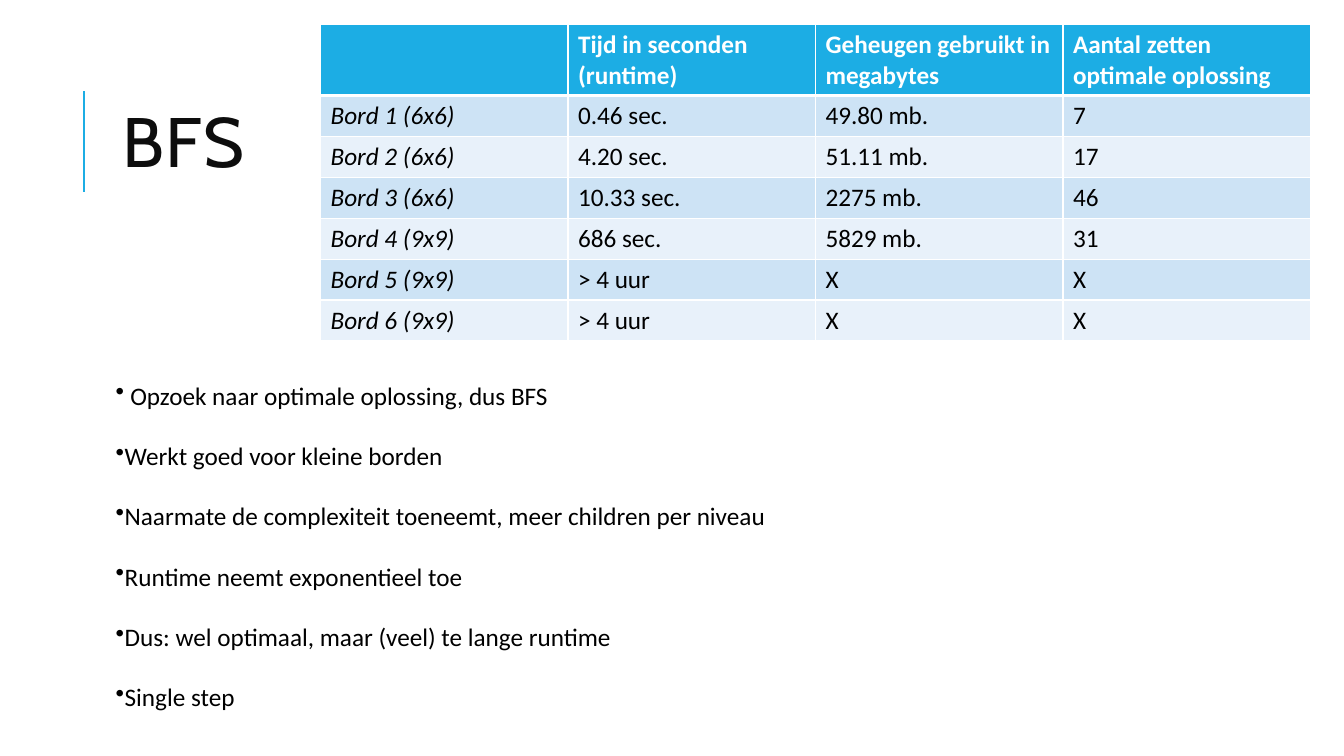
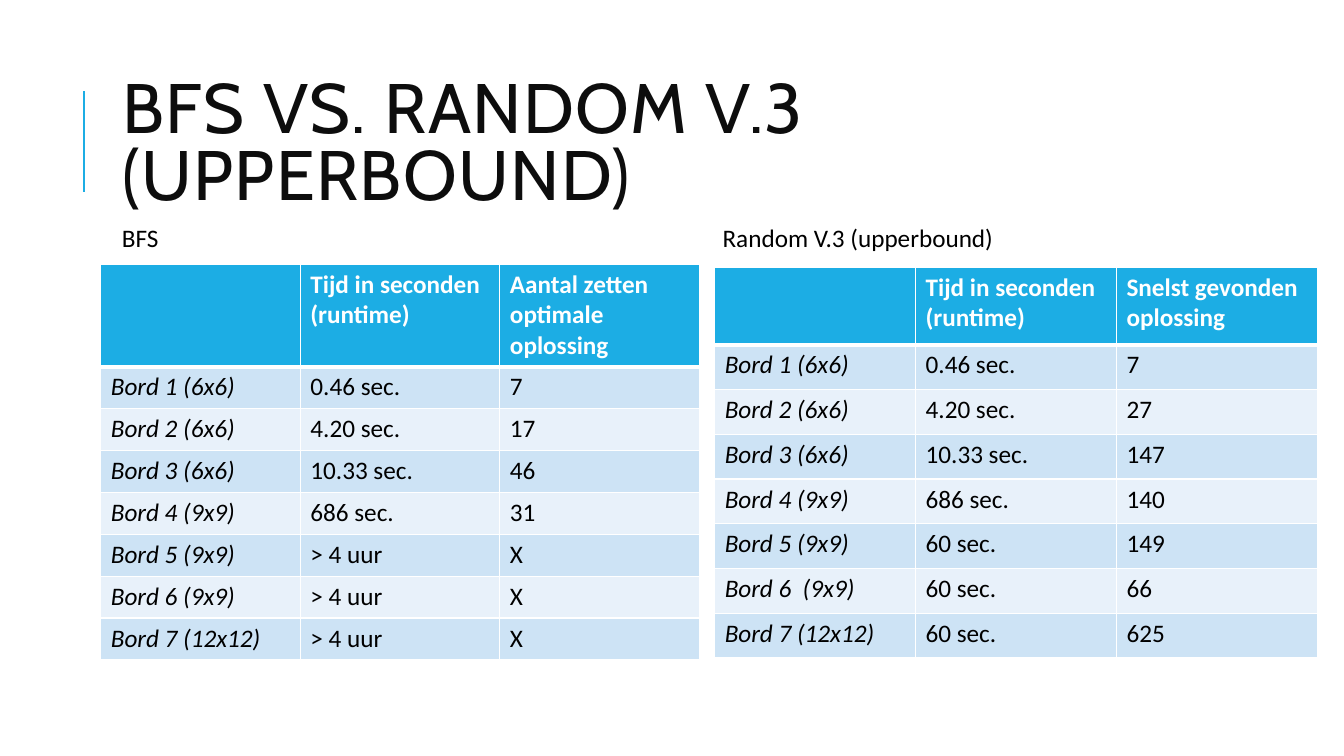
import dataclasses

import lxml.etree
import pptx
import pptx.dml.color
import pptx.enum.shapes
import pptx.enum.text
import pptx.oxml.ns
import pptx.util

SLIDE_WIDTH = pptx.util.Inches(13.33)
SLIDE_HEIGHT = pptx.util.Inches(7.5)
GRID_COLUMNS, GRID_ROWS = 160, 90


@dataclasses.dataclass(frozen=True)
class Theme:
    accent: str = "1CADE4"
    title_ink: str = "0D0D0D"
    ink: str = "000000"
    paper: str = "FFFFFF"
    bands: tuple = ("CDE3F5", "E8F1FA")
    title_font: str = "Cabin"
    body_font: str = "Calibri"
    title_size: float = 50
    body_size: float = 18
    bullet_gap: float = 21.5
    accent_width: float = 1.5
    rule: float = 1
    header_rule: float = 3


@dataclasses.dataclass(frozen=True)
class Box:
    """A region in grid columns and rows."""
    left: float
    top: float
    width: float
    height: float

    def place(self):
        return (across(self.left), down(self.top),
                across(self.width), down(self.height))


THEME = Theme()
TITLE_BOX = Box(13.44, 7.68, 127.56, 19.68)

TIME_HEADING = "Tijd in seconden (runtime)"
MOVES_HEADING = "Aantal zetten optimale oplossing"
BFS_RESULTS = [
    ("Bord 1 (6x6)", "0.46 sec.", "49.80 mb.", "7"),
    ("Bord 2 (6x6)", "4.20 sec.", "51.11 mb.", "17"),
    ("Bord 3 (6x6)", "10.33 sec.", "2275 mb.", "46"),
    ("Bord 4 (9x9)", "686 sec.", "5829 mb.", "31"),
    ("Bord 5 (9x9)", "> 4 uur", "X", "X"),
    ("Bord 6 (9x9)", "> 4 uur", "X", "X"),
]
BFS_MOVES = [(board, time, moves) for board, time, _, moves in BFS_RESULTS]
BFS_MOVES.append(("Bord 7 (12x12)", "> 4 uur", "X"))
RANDOM_MOVES = [
    ("Bord 1 (6x6)", "0.46 sec.", "7"),
    ("Bord 2 (6x6)", "4.20 sec.", "27"),
    ("Bord 3 (6x6)", "10.33 sec.", "147"),
    ("Bord 4 (9x9)", "686 sec.", "140"),
    ("Bord 5 (9x9)", "60 sec.", "149"),
    ("Bord 6  (9x9)", "60 sec.", "66"),
    ("Bord 7 (12x12)", "60 sec.", "625"),
]
BFS_FINDINGS = [
    " Opzoek naar optimale oplossing, dus BFS",
    "Werkt goed voor kleine borden",
    "Naarmate de complexiteit toeneemt, meer children per niveau",
    "Runtime neemt exponentieel toe",
    "Dus: wel optimaal, maar (veel) te lange runtime",
    "Single step",
]


def across(columns):
    return round(SLIDE_WIDTH * columns / GRID_COLUMNS)


def down(rows):
    return round(SLIDE_HEIGHT * rows / GRID_ROWS)


def color(code):
    return pptx.dml.color.RGBColor.from_string(code)


def add_element(parent, tag, **attributes):
    return lxml.etree.SubElement(parent, pptx.oxml.ns.qn(tag), attributes)


def style_font(font, name, size, ink, bold=False, italic=False):
    font.name = name
    font.size = pptx.util.Pt(size)
    font.color.rgb = color(ink)
    font.bold = bold
    font.italic = italic


def add_text(page, box, lines):
    """Add a wrapping text box with one body paragraph per line."""
    frame = page.shapes.add_textbox(*box.place()).text_frame
    frame.word_wrap = True
    frame.text = "\n".join(lines)
    for para in frame.paragraphs:
        style_font(para.font, THEME.body_font, THEME.body_size, THEME.ink)
    return frame


def add_bullets(page, box, lines):
    frame = add_text(page, box, lines)
    for para in frame.paragraphs:
        para.space_after = pptx.util.Pt(THEME.bullet_gap)
        properties = para._p.get_or_add_pPr()
        properties.set("marL", "0")
        properties.set("indent", "0")
        bullet = add_element(properties, "a:buChar", char="•")
        properties.remove(bullet)
        properties.insert_element_before(bullet, "a:defRPr")


def add_title(page, box, title):
    """Add the title and the accent line to its left."""
    line_left = across(box.left - 3.44)
    line = page.shapes.add_connector(
        pptx.enum.shapes.MSO_CONNECTOR.STRAIGHT,
        line_left, down(box.top + 15.12), line_left, down(box.top + 3.12))
    line.line.color.rgb = color(THEME.accent)
    line.line.width = pptx.util.Pt(THEME.accent_width)
    add_element(line._element.spPr, "a:effectLst")

    frame = add_text(page, box, [title])
    frame.vertical_anchor = pptx.enum.text.MSO_ANCHOR.MIDDLE
    para = frame.paragraphs[0]
    para.line_spacing = 0.8
    style_font(para.font, THEME.title_font, THEME.title_size, THEME.title_ink)
    para.runs[0].font._element.set("spc", "100")


def add_borders(cell, top, bottom):
    properties = cell._tc.get_or_add_tcPr()
    widths = {"L": THEME.rule, "R": THEME.rule, "T": top, "B": bottom}
    for side, width in widths.items():
        border = add_element(properties, f"a:ln{side}",
                             w=str(pptx.util.Pt(width)))
        fill = add_element(border, "a:solidFill")
        add_element(fill, "a:srgbClr", val=THEME.paper)


def style_cell(cell, row, column):
    header = row == 0
    add_borders(cell,
                top=THEME.header_rule if row == 1 else THEME.rule,
                bottom=THEME.header_rule if header else THEME.rule)
    cell.fill.solid()
    cell.fill.fore_color.rgb = color(
        THEME.accent if header else THEME.bands[(row - 1) % 2])
    style_font(cell.text_frame.paragraphs[0].font,
               THEME.body_font, THEME.body_size,
               THEME.paper if header else THEME.ink,
               bold=header, italic=not header and column == 0)


def add_results(page, box, header_height, headings, results):
    """Add a banded table whose first column names the boards."""
    records = [("", *headings), *results]
    table = page.shapes.add_table(
        len(records), len(records[0]), *box.place()).table
    for column in table.columns:
        column.width = across(box.width / len(table.columns))
    row_height = (box.height - header_height) / len(results)
    for index, record in enumerate(records):
        table.rows[index].height = down(row_height if index else header_height)
        for column, text in enumerate(record):
            cell = table.cell(index, column)
            cell.text = text
            style_cell(cell, index, column)


def add_labelled_results(page, box, label, label_left, *table_parts):
    """Add a results table with its label above, shifted by label_left."""
    add_text(page, Box(box.left + label_left, 25.92, 49.32, 4.8), [label])
    add_results(page, box, *table_parts)


def add_page(deck, title):
    page = deck.slides.add_slide(deck.slide_layouts[6])
    add_title(page, TITLE_BOX, title)
    return page


def build_bfs(deck):
    page = add_page(deck, "BFS")
    add_results(page, Box(38.16, 2.88, 117.84, 37.7), 8.5,
                [TIME_HEADING, "Geheugen gebruikt in megabytes",
                 MOVES_HEADING], BFS_RESULTS)
    add_bullets(page, Box(12.6, 44.64, 134.64, 41.16), BFS_FINDINGS)


def build_comparison(deck):
    page = add_page(deck, "BFS VS. RANDOM V.3 (UPPERBOUND)")
    add_labelled_results(page, Box(85.08, 31.8, 71.76, 46.56),
                         "Random V.3 (upperbound)", -0.24, 9.24,
                         [TIME_HEADING, "Snelst gevonden oplossing"],
                         RANDOM_MOVES)
    add_labelled_results(page, Box(12, 31.44, 71.28, 47.16),
                         "BFS", 1.32, 12.24,
                         [TIME_HEADING, MOVES_HEADING], BFS_MOVES)


def main():
    deck = pptx.Presentation()
    deck.slide_width, deck.slide_height = SLIDE_WIDTH, SLIDE_HEIGHT
    build_bfs(deck)
    build_comparison(deck)
    deck.save("out.pptx")


if __name__ == "__main__":
    main()
